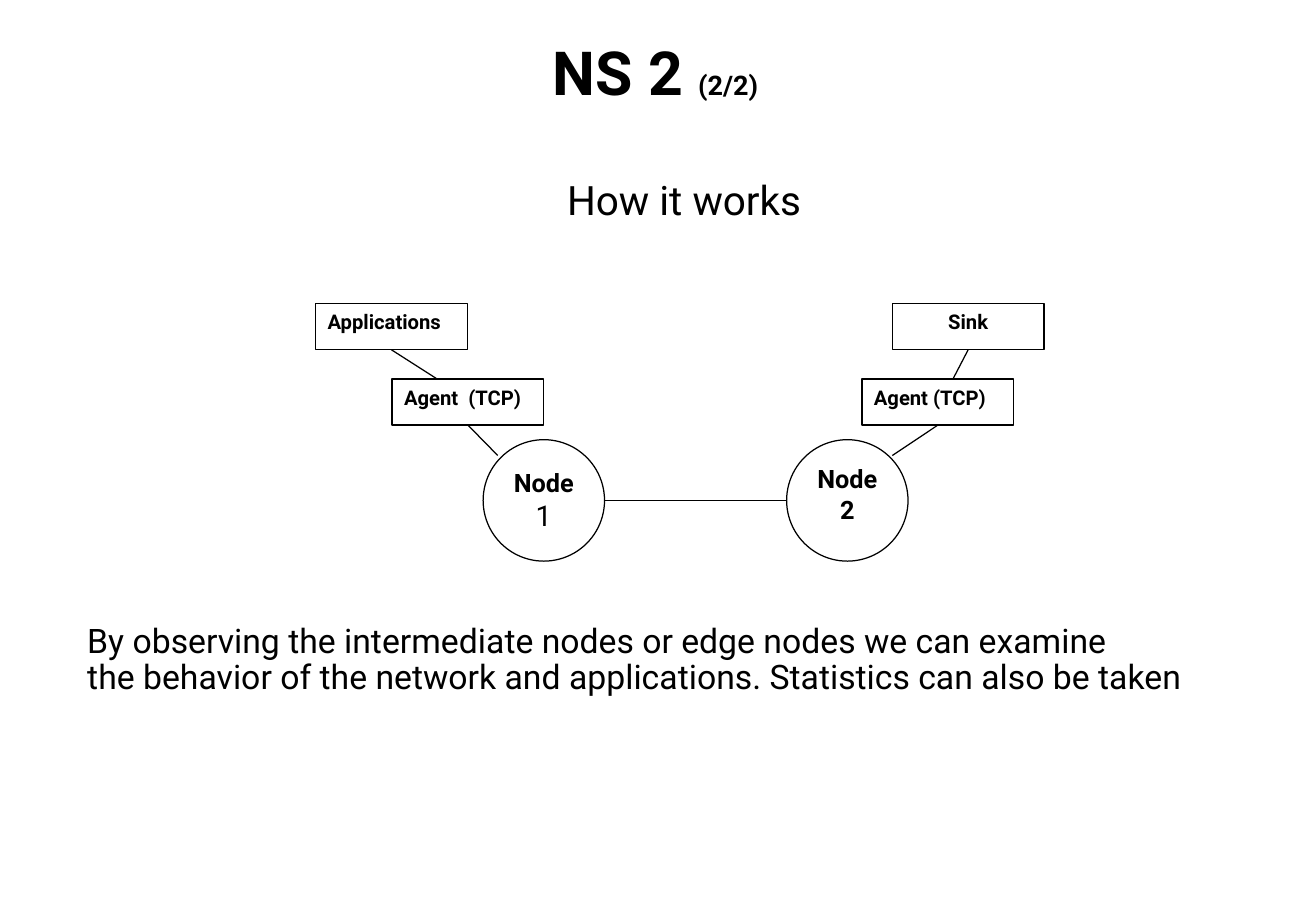
from pptx import Presentation
from pptx.dml.color import RGBColor
from pptx.enum.shapes import MSO_CONNECTOR, MSO_SHAPE
from pptx.enum.text import MSO_ANCHOR, MSO_AUTO_SIZE, PP_ALIGN
from pptx.util import Pt
from lxml import etree

PX = 9144  # EMU per px, 100 px to the inch
FONT = "Roboto"
COLORS = {"ink": "000000", "paper": "FFFFFF"}
DRAWING_NS = "http://schemas.openxmlformats.org/drawingml/2006/main"
SLIDE_SIZE = (1084, 750)

# Text is a list of paragraphs, each a list of (text, size, bold)
TITLE = [[("NS 2 ", 36, True), ("(2/2)", 16, True)]]
SUBTITLE = [[("How it works", 24, False)]]
SUMMARY = [
    [("By observing the intermediate nodes or edge nodes we can examine", 20, False)],
    [("the behavior of the network and applications. Statistics can also be taken", 20, False)],
]

NODE_SIZE, NODE_TOP = 100, 362
NODES = [
    (398, [("Node", 15, True), (" 1", 17, False)]),
    (648, [("Node 2", 15, True)]),
]

LAYER_WIDTH, LAYER_HEIGHT = 125, 38
LAYER_TOPS = {"application": 250, "agent": 312}
# Layer, left, label, alignment, end of the line that leaves its bottom side
LAYERS = [
    ("agent", 323, "Agent  (TCP)", PP_ALIGN.LEFT, (410, 375)),
    ("application", 260, "Applications", PP_ALIGN.LEFT, (360, 312)),
    ("agent", 710, "Agent (TCP)", PP_ALIGN.LEFT, (735, 375)),
    ("application", 735, "Sink", PP_ALIGN.CENTER, (785, 312)),
]


def emu(*lengths):
    return [length * PX for length in lengths]


def color(name):
    return RGBColor.from_string(COLORS[name])


def write(box, paragraphs, align, **frame_format):
    frame = box.text_frame
    spacing = frame_format.pop("line_spacing", 1.0)
    settings = {"word_wrap": True, "vertical_anchor": MSO_ANCHOR.TOP, **frame_format}
    for name, value in settings.items():
        setattr(frame, name, value)
    for index, spans in enumerate(paragraphs):
        para = frame.add_paragraph() if index else frame.paragraphs[0]
        para.alignment, para.line_spacing = align, spacing
        for text, size, bold in spans:
            span = para.add_run()
            span.text = text
            for name, value in {"name": FONT, "size": Pt(size), "bold": bold}.items():
                setattr(span.font, name, value)
            span.font.color.rgb = color("ink")


def outline(item):
    item.line.color.rgb = color("ink")
    item.line.width = Pt(0.75)


def add_block(page, kind, place, spans, align):
    block = page.shapes.add_shape(kind, *emu(*place))
    block.shadow.inherit = False
    block.fill.solid()
    block.fill.fore_color.rgb = color("paper")
    outline(block)
    write(block, [spans], align)
    return block


def add_link(page, start, end):
    link = page.shapes.add_connector(MSO_CONNECTOR.STRAIGHT, *emu(*start, *end))
    outline(link)
    etree.SubElement(link._element.spPr, f"{{{DRAWING_NS}}}effectLst")
    return link


def main():
    deck = Presentation()
    deck.slide_width, deck.slide_height = emu(*SLIDE_SIZE)
    page = deck.slides.add_slide(deck.slide_layouts[5])

    title = page.shapes.title
    title.left, title.top, title.width, title.height = emu(50, 25, 980, 75)
    write(title, TITLE, PP_ALIGN.CENTER, line_spacing=0.9,
          vertical_anchor=MSO_ANCHOR.MIDDLE, auto_size=MSO_AUTO_SIZE.NONE)

    subtitle = page.shapes.add_textbox(*emu(249, 144, 629, 46))
    write(subtitle, SUBTITLE, PP_ALIGN.CENTER, line_spacing=0.9,
          auto_size=MSO_AUTO_SIZE.SHAPE_TO_FIT_TEXT)

    for left, spans in NODES:
        add_block(page, MSO_SHAPE.OVAL, (left, NODE_TOP, NODE_SIZE, NODE_SIZE),
                  spans, PP_ALIGN.CENTER)
    middle = NODE_TOP + NODE_SIZE // 2
    add_link(page, (NODES[0][0] + NODE_SIZE, middle), (NODES[1][0], middle))

    for layer, left, label, align, link_end in LAYERS:
        top = LAYER_TOPS[layer]
        block = add_block(page, MSO_SHAPE.RECTANGLE, (left, top, LAYER_WIDTH, LAYER_HEIGHT),
                          [(label, 12, True)], align)
        link = add_link(page, (left + LAYER_WIDTH // 2, top + LAYER_HEIGHT), link_end)
        link.begin_connect(block, 2)

    summary = page.shapes.add_textbox(*emu(62, 509, 971, 70))
    write(summary, SUMMARY, PP_ALIGN.LEFT, line_spacing=0.9, word_wrap=False,
          auto_size=MSO_AUTO_SIZE.SHAPE_TO_FIT_TEXT)

    deck.save("out.pptx")


if __name__ == "__main__":
    main()
